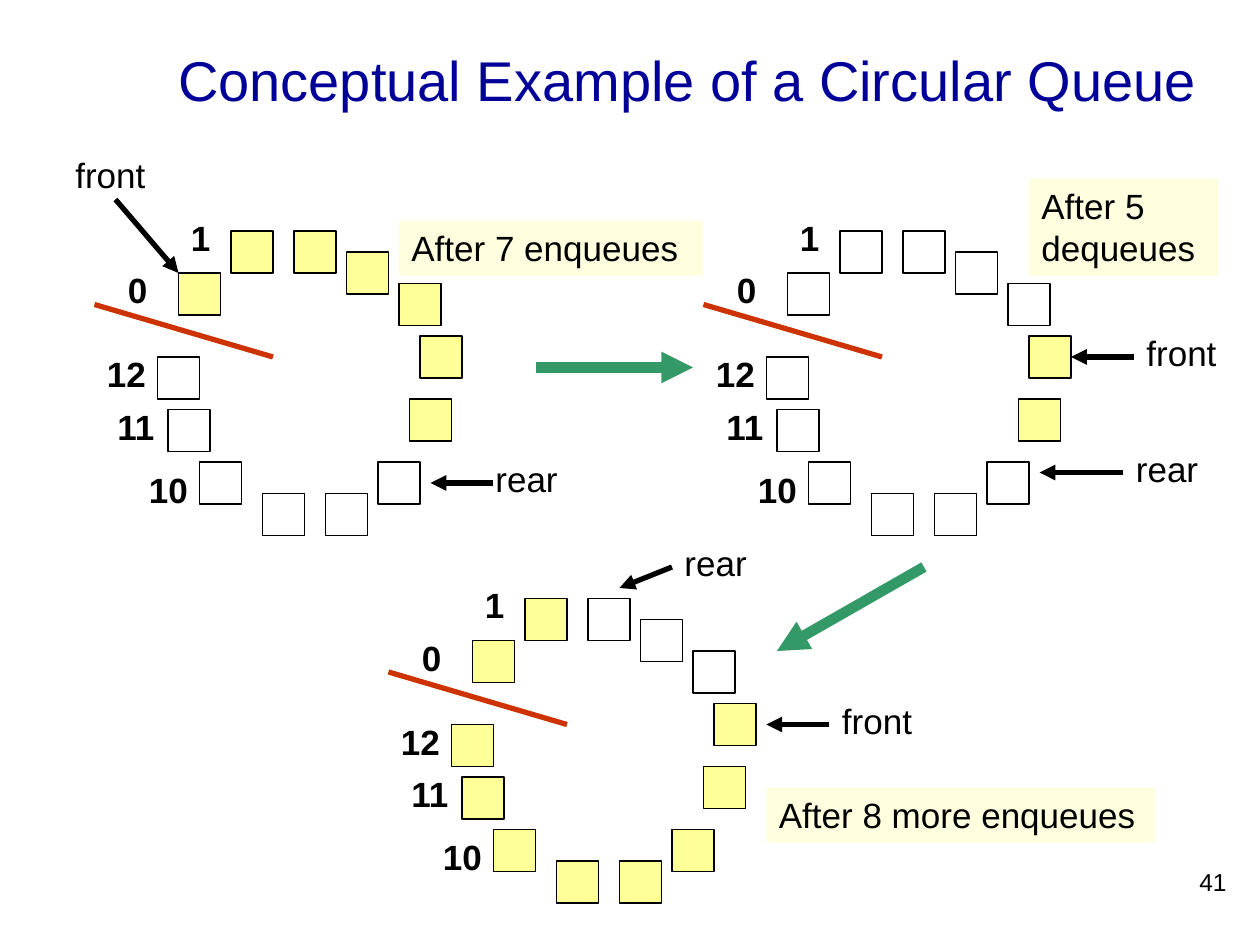
from typing import NamedTuple

from lxml.etree import SubElement
from pptx import Presentation
from pptx.dml.color import RGBColor
from pptx.enum.shapes import MSO_CONNECTOR, MSO_SHAPE
from pptx.enum.text import MSO_ANCHOR, PP_ALIGN
from pptx.oxml.ns import qn
from pptx.util import Cm, Length, Pt

COLORS = {
    "black": "000000",
    "title": "000099",
    "full": "FFFF99",
    "note": "FFFFDF",
    "divider": "CC3300",
    "step": "339966",
}
UNIT = 2.54 / 12  # all places lie on a grid of twelve steps to the inch
ROW = 5.25
SIDE = 4

# Places inside a ring, from its top left corner
CELLS = [(8, 6), (13, 2), (19, 2), (24, 4), (29, 7), (31, 12), (30, 18),
         (27, 24), (22, 27), (16, 27), (10, 24), (7, 19), (6, 14)]
INDEXES = {"1": (8, 0, 5), "0": (2, 5, 5), "12": (0, 13, 7),
           "11": (1, 18, 9), "10": (4, 24, 9)}


class Ring(NamedTuple):
    x: float
    y: float
    front: int
    count: int


class Label(NamedTuple):
    text: str
    x: float
    y: float
    width: float
    height: float = ROW
    size: int = 20
    color: str = "black"
    bold: bool = False
    fill: str | None = None
    align: PP_ALIGN = PP_ALIGN.LEFT
    anchor: MSO_ANCHOR = MSO_ANCHOR.TOP


class Line(NamedTuple):
    x1: float
    y1: float
    x2: float
    y2: float
    color: str = "black"
    width: float = 3
    arrow: bool = True


RINGS = [Ring(9, 20, 0, 7), Ring(37, 55, 5, 10), Ring(67, 20, 5, 2)]

LABELS = [
    Label("Conceptual Example of a Circular Queue", 11, 2, 109, 11, size=32,
          color="title", align=PP_ALIGN.CENTER, anchor=MSO_ANCHOR.MIDDLE),
    Label("After 7 enqueues", 38, 21, 29, fill="note"),
    Label("front", 6, 14, 19),
    Label("rear", 46, 43, 19),
    Label("After 5 dequeues", 98, 17, 18, 9.25, fill="note"),
    Label("front", 108, 31, 10),
    Label("rear", 107, 42, 9),
    Label("After 8 more enqueues", 73, 75, 37, fill="note"),
    Label("front", 79, 66, 10),
    Label("rear", 64, 51, 9),
    Label("41", 93, 82, 25, 6, size=14, align=PP_ALIGN.RIGHT),
]

LINES = [
    Line(11, 19, 17, 26),
    Line(47, 46, 41, 46),
    Line(51, 35, 66, 35, "step", 6),
    Line(108, 34, 102, 34),
    Line(107, 45, 99, 45),
    Line(79, 69, 73, 69),
    Line(64, 54, 59, 56),
    Line(88, 54, 74, 62, "step", 6),
]


def grid(steps: float) -> Length:
    return Cm(steps * UNIT)


def tint(name: str) -> RGBColor:
    return RGBColor.from_string(COLORS[name])


def draw_label(shapes, label: Label) -> None:
    box = shapes.add_textbox(grid(label.x), grid(label.y),
                             grid(label.width), grid(label.height))
    if label.fill:
        box.fill.solid()
        box.fill.fore_color.rgb = tint(label.fill)
    frame = box.text_frame
    frame.word_wrap = True
    frame.vertical_anchor = label.anchor
    para = frame.paragraphs[0]
    para.alignment = label.align
    run = para.add_run()
    run.text = label.text
    font = run.font
    font.name = "Arial"
    font.size = Pt(label.size)
    font.bold = label.bold
    font.color.rgb = tint(label.color)


def draw_line(shapes, line: Line) -> None:
    link = shapes.add_connector(MSO_CONNECTOR.STRAIGHT, grid(line.x1), grid(line.y1),
                                grid(line.x2), grid(line.y2))
    link.line.color.rgb = tint(line.color)
    link.line.width = Pt(line.width)
    if line.arrow:
        SubElement(link.line._get_or_add_ln(), qn("a:tailEnd"), type="triangle")
    SubElement(link._element.spPr, qn("a:effectLst"))


def draw_cell(shapes, x: float, y: float, full: bool) -> None:
    cell = shapes.add_shape(MSO_SHAPE.RECTANGLE, grid(x), grid(y),
                            grid(SIDE), grid(SIDE))
    cell.shadow.inherit = False
    if full:
        cell.fill.solid()
        cell.fill.fore_color.rgb = tint("full")
    else:
        cell.fill.background()
    cell.line.color.rgb = tint("black")
    cell.line.width = Pt(0.75)


def draw_ring(shapes, ring: Ring) -> None:
    """Fill the cells from the front onwards, wrapping past the last one."""
    for index, (x, y) in enumerate(CELLS):
        full = (index - ring.front) % len(CELLS) < ring.count
        draw_cell(shapes, ring.x + x, ring.y + y, full)
    for text, (x, y, width) in INDEXES.items():
        draw_label(shapes, Label(text, ring.x + x, ring.y + y, width, bold=True))
    draw_line(shapes, Line(ring.x, ring.y + 9, ring.x + 17, ring.y + 14,
                           "divider", arrow=False))


def main() -> None:
    deck = Presentation()
    deck.slide_width, deck.slide_height = Cm(25.4), Cm(19.05)
    shapes = deck.slides.add_slide(deck.slide_layouts[6]).shapes
    for ring in RINGS:
        draw_ring(shapes, ring)
    for label in LABELS:
        draw_label(shapes, label)
    for line in LINES:
        draw_line(shapes, line)
    deck.save("out.pptx")


if __name__ == "__main__":
    main()
